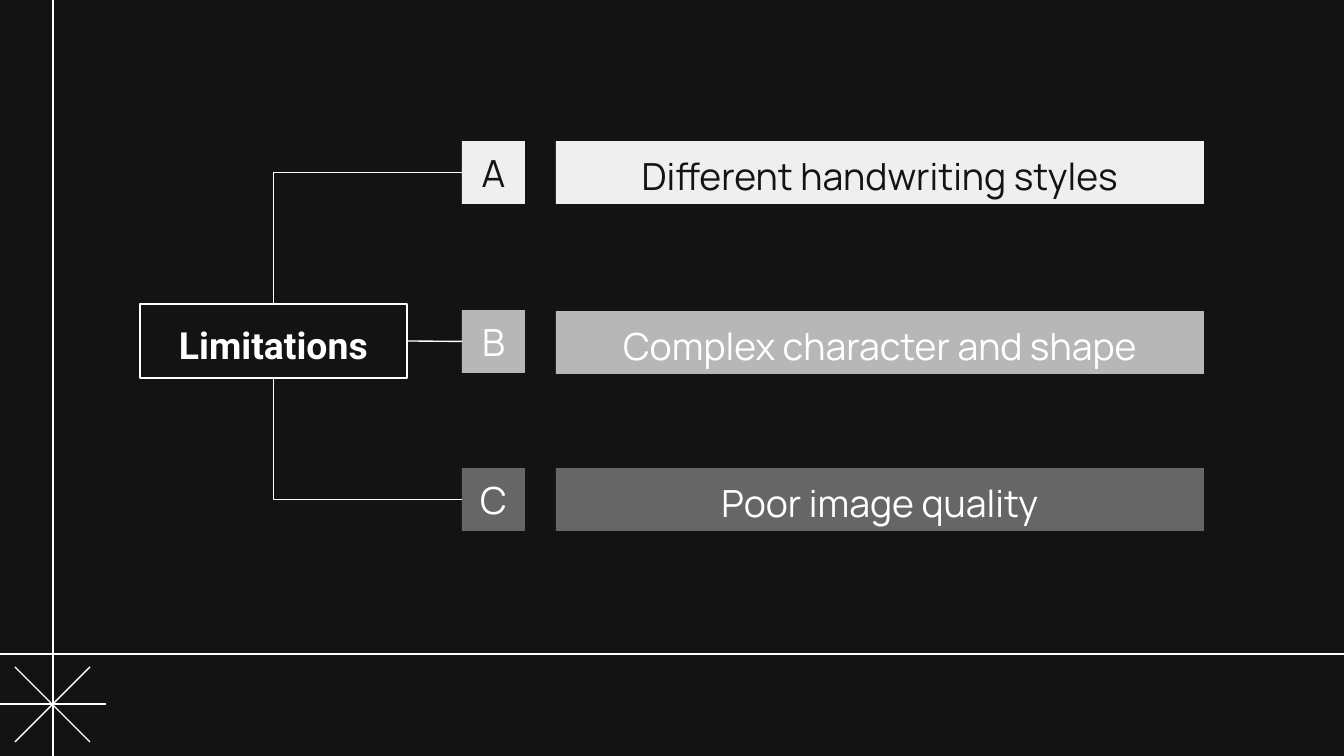
import pptx
import pptx.dml.color
import pptx.enum.shapes
import pptx.enum.text
import pptx.oxml
import pptx.oxml.ns
import pptx.util

EMU_PER_PX = 914400 / 134.4
COLORS = {
    "background": "131313",
    "white": "FFFFFF",
    "light": "EFEFEF",
    "middle": "B7B7B7",
    "dark": "666666",
}
BADGE_LEFT, BADGE_SIZE = 462, 63
BAR_LEFT, BAR_WIDTH = 556, 648
TOP, RIGHT, BOTTOM, LEFT = 0, 3, 2, 1
GUIDE_LINES = [
    (1375, 654, -15, 654),
    (53, -8, 53, 757),
    (90, 667, 15, 742),
    (90, 742, 15, 667),
    (0, 704, 106, 704),
]
ROWS = [
    ("A", "Different handwriting styles", 141, 141, "light", "background", TOP),
    ("B", "Complex character and shape", 310, 311, "middle", "white", RIGHT),
    ("C", "Poor image quality", 468, 468, "dark", "white", BOTTOM),
]


def px(length):
    return pptx.util.Emu(round(length * EMU_PER_PX))


def rgb(name):
    return pptx.dml.color.RGBColor.from_string(COLORS[name])


def set_attributes(target, values):
    for name, value in values.items():
        setattr(target, name, value)


def style_line(line):
    line.color.rgb = rgb("white")
    line.width = pptx.util.Pt(0.75)


def add_line(slide, ends, kind=pptx.enum.shapes.MSO_CONNECTOR.STRAIGHT):
    connector = slide.shapes.add_connector(kind, *map(px, ends))
    style_line(connector.line)
    effects = pptx.oxml.parse_xml(
        f"<a:effectLst {pptx.oxml.ns.nsdecls('a')}/>"
    )
    connector._element.spPr.append(effects)
    return connector


def add_box(slide, text, bounds, fill, color, font="Manrope", bold=False, spacing=1.15):
    shape = slide.shapes.add_shape(
        pptx.enum.shapes.MSO_SHAPE.RECTANGLE, *map(px, bounds)
    )
    shape.shadow.inherit = False
    if fill:
        shape.fill.solid()
        shape.fill.fore_color.rgb = rgb(fill)
        shape.line.fill.background()
    else:
        shape.fill.background()
        style_line(shape.line)
    frame = shape.text_frame
    inset = pptx.util.Inches(0.1)
    set_attributes(frame, {
        "word_wrap": True,
        "vertical_anchor": pptx.enum.text.MSO_ANCHOR.MIDDLE,
        "margin_left": inset,
        "margin_top": inset,
        "margin_right": inset,
        "margin_bottom": inset,
    })
    paragraph = frame.paragraphs[0]
    set_attributes(paragraph, {
        "alignment": pptx.enum.text.PP_ALIGN.CENTER,
        "line_spacing": spacing,
    })
    run = paragraph.add_run()
    run.text = text
    set_attributes(run.font, {
        "name": font, "size": pptx.util.Pt(20), "bold": bold,
    })
    run.font.color.rgb = rgb(color)
    return shape


def add_branch(slide, badge, root, root_site):
    kinds = pptx.enum.shapes.MSO_CONNECTOR
    straight = root_site == RIGHT
    kind = kinds.STRAIGHT if straight else kinds.ELBOW
    connector = add_line(slide, (0, 0, 0, 0), kind)
    connector.begin_connect(badge, LEFT)
    connector.end_connect(root, root_site)
    if not straight:
        connector._element.spPr.prstGeom.set("prst", "bentConnector2")


def main():
    presentation = pptx.Presentation()
    set_attributes(presentation, {"slide_width": px(1344), "slide_height": px(756)})
    slide = presentation.slides.add_slide(presentation.slide_layouts[6])
    slide.background.fill.solid()
    slide.background.fill.fore_color.rgb = rgb("background")

    for ends in GUIDE_LINES:
        add_line(slide, ends)

    root = add_box(
        slide, "Limitations", (140, 304, 267, 74), None, "white", "Roboto", True
    )
    for letter, text, badge_top, bar_top, fill, color, root_site in ROWS:
        badge_bounds = (BADGE_LEFT, badge_top, BADGE_SIZE, BADGE_SIZE)
        badge = add_box(slide, letter, badge_bounds, fill, color, spacing=1.0)
        add_box(slide, text, (BAR_LEFT, bar_top, BAR_WIDTH, BADGE_SIZE), fill, color)
        add_branch(slide, badge, root, root_site)

    presentation.save("out.pptx")


if __name__ == "__main__":
    main()
